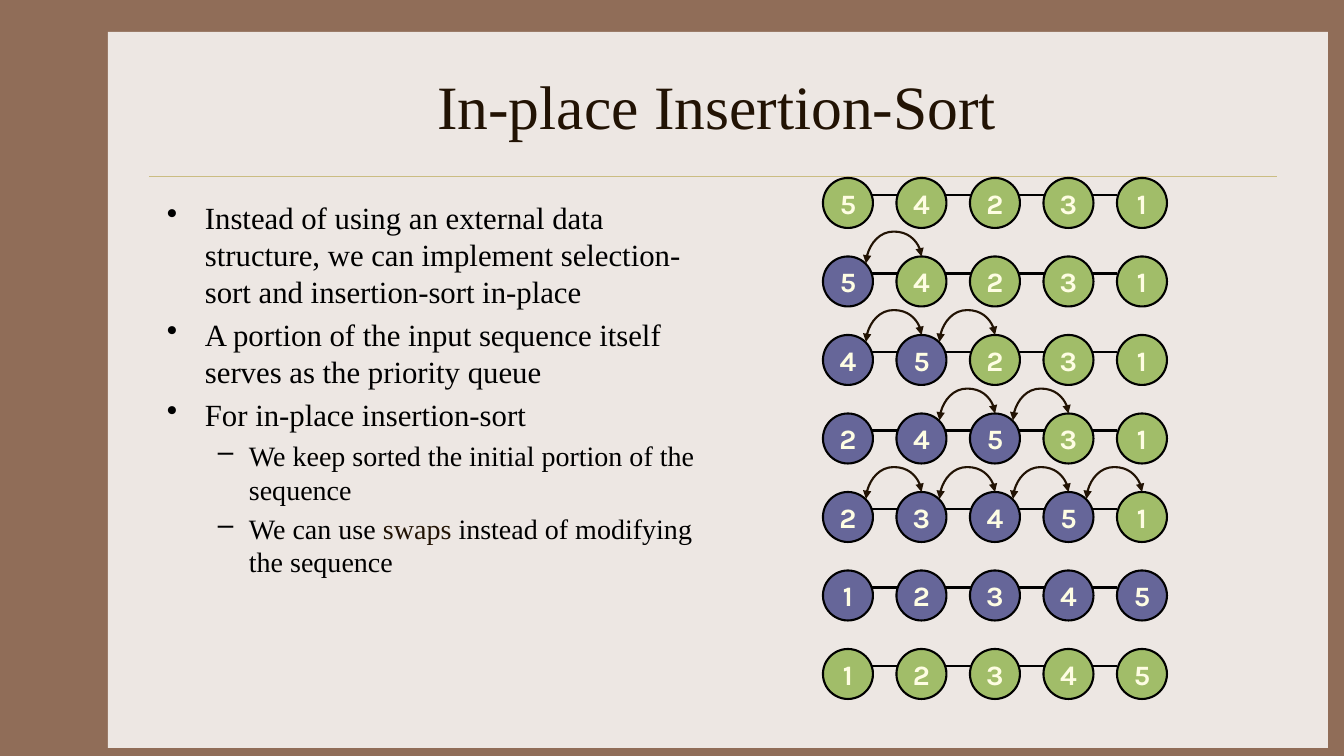
from dataclasses import dataclass
from typing import NamedTuple

from lxml.etree import SubElement
from pptx import Presentation
from pptx.dml.color import RGBColor
from pptx.enum.shapes import MSO_CONNECTOR, MSO_SHAPE
from pptx.enum.text import MSO_ANCHOR, PP_ALIGN
from pptx.oxml.ns import qn
from pptx.util import Emu, Pt


@dataclass(frozen=True)
class Theme:
    """Colours, fonts and type sizes of the slide."""
    backdrop: str = "906D58"
    panel: str = "EDE7E3"
    divider: str = "CBBD83"
    accent: str = "221304"
    ink: str = "000000"
    digit: str = "FEFDE3"
    unsorted: str = "A1BD69"
    sorted: str = "666699"
    text_font: str = "Times New Roman"
    digit_font: str = "Karla"
    title_size: int = 44
    level_sizes: tuple = (22, 20)
    digit_size: int = 20
    hairline: float = 0.25
    stroke: float = 1.5


class Box(NamedTuple):
    """A region in px."""
    left: int
    top: int
    width: int
    height: int


class Step(NamedTuple):
    """A sequence, the length of its sorted part, and the columns swapped leftwards."""
    values: str
    sorted_count: int
    swaps: tuple = ()


THEME = Theme()
EMU_PER_PX = 914400 / 100.8
CIRCLE = 50
LEVELS = (("•", 38, 38), ("–", 82, 31))
BULLETS = (
    (0, (("Instead of using an external data structure, we can implement "
          "selection-sort and insertion-sort in-place", THEME.ink),)),
    (0, (("A portion of the input sequence itself serves as the priority queue", THEME.ink),)),
    (0, (("For in-place insertion-sort", THEME.ink),)),
    (1, (("We keep sorted the initial portion of the sequence", THEME.ink),)),
    (1, (("We can use ", THEME.ink), ("swaps", THEME.accent),
         (" instead of modifying the sequence", THEME.ink))),
)
STEPS = (
    Step("54231", 0),
    Step("54231", 1, (1,)),
    Step("45231", 2, (2, 1)),
    Step("24531", 3, (2, 3)),
    Step("23451", 4, (4, 2, 1, 3)),
    Step("12345", 5),
    Step("12345", 0),
)


def px(length):
    """Turn px into EMU."""
    return Emu(round(length * EMU_PER_PX))


def rgb(code):
    """Turn a hex code into a colour."""
    return RGBColor.from_string(code)


def add_span(para, text, size, color, font, bold=False):
    """Add one formatted run."""
    span = para.add_run()
    span.text = text
    span.font.size = Pt(size)
    span.font.name = font
    span.font.bold = bold
    span.font.color.rgb = rgb(color)


def add_line(page, kind, start, end, color, weight):
    """Add a connector without a shadow."""
    line = page.shapes.add_connector(kind, *map(px, start + end))
    line.line.color.rgb = rgb(color)
    line.line.width = Pt(weight)
    SubElement(line._element.spPr, qn("a:effectLst"))
    return line


def add_solid(page, kind, box, color):
    """Add a filled shape without an outline or a shadow."""
    shape = page.shapes.add_shape(kind, *map(px, box))
    shape.shadow.inherit = False
    shape.fill.solid()
    shape.fill.fore_color.rgb = rgb(color)
    shape.line.fill.background()
    return shape


def add_panel(page, box):
    """Draw the backdrop, the panel and the divider."""
    page.background.fill.solid()
    page.background.fill.fore_color.rgb = rgb(THEME.backdrop)
    add_solid(page, MSO_SHAPE.RECTANGLE, box, THEME.panel)
    y = box.top + 144
    add_line(page, MSO_CONNECTOR.STRAIGHT, (box.left + 41, y),
             (box.left + box.width - 51, y), THEME.divider, THEME.hairline)


def add_title(page, box, text):
    """Place the centred title."""
    frame = page.shapes.add_textbox(*map(px, box)).text_frame
    frame.word_wrap = True
    frame.vertical_anchor = MSO_ANCHOR.MIDDLE
    para = frame.paragraphs[0]
    para.alignment = PP_ALIGN.CENTER
    add_span(para, text, THEME.title_size, THEME.accent, THEME.text_font)


def add_bullets(page, box, bullets):
    """Place the two-level bullet list."""
    frame = page.shapes.add_textbox(*map(px, box)).text_frame
    frame.word_wrap = True
    for index, (level, spans) in enumerate(bullets):
        para = frame.add_paragraph() if index else frame.paragraphs[0]
        mark, margin, hanging = LEVELS[level]
        size = THEME.level_sizes[level]
        para.level = level
        if index:
            para.space_before = Pt(size * 0.2)
        properties = para._p.get_or_add_pPr()
        properties.set("marL", str(px(margin)))
        properties.set("indent", str(px(-hanging)))
        SubElement(properties, qn("a:buChar")).set("char", mark)
        for text, color in spans:
            add_span(para, text, size, color, THEME.text_font)


def add_circle(page, left, top, value, color):
    """Draw one numbered element."""
    circle = add_solid(page, MSO_SHAPE.OVAL, (left, top, CIRCLE, CIRCLE), color)
    circle.line.color.rgb = rgb(THEME.ink)
    circle.line.width = Pt(THEME.stroke)
    frame = circle.text_frame
    frame.word_wrap = False
    frame.vertical_anchor = MSO_ANCHOR.MIDDLE
    para = frame.paragraphs[0]
    para.alignment = PP_ALIGN.CENTER
    add_span(para, value, THEME.digit_size, THEME.digit, THEME.digit_font, True)


def add_swap(page, right, top, left):
    """Arch a two-headed arrow from the point at the right to the one at the left."""
    drop, rise = 7, 25
    span = right - left
    middle_x, middle_y = (left + right) / 2, top + drop / 2
    arrow = add_line(page, MSO_CONNECTOR.CURVE,
                     (middle_x + drop / 2, middle_y + span / 2),
                     (middle_x - drop / 2, middle_y - span / 2),
                     THEME.accent, THEME.stroke)
    properties = arrow._element.spPr
    properties.find(qn("a:xfrm")).set("rot", str(270 * 60000))
    guides = properties.find(qn("a:prstGeom")).get_or_add_avLst()
    guide = SubElement(guides, qn("a:gd"))
    guide.set("name", "adj1")
    guide.set("fmla", f"val {round(-rise / drop * 100000)}")
    for end in ("a:headEnd", "a:tailEnd"):
        SubElement(arrow.line._ln, qn(end)).set("type", "triangle")


def add_board(page, box, steps):
    """Spread the steps of the sort over the box, then the swaps above them."""
    row_pitch = (box.height - CIRCLE) / (len(steps) - 1)
    column_pitch = (box.width - CIRCLE) / (len(steps[0].values) - 1)
    tops = [box.top + row * row_pitch for row in range(len(steps))]
    lefts = [box.left + column * column_pitch for column in range(len(steps[0].values))]
    for top, step in zip(tops, steps):
        add_line(page, MSO_CONNECTOR.STRAIGHT, (lefts[0] + 33, top + 17),
                 (lefts[-1], top + 17), THEME.ink, THEME.stroke)
        for column, value in enumerate(step.values):
            color = THEME.sorted if column < step.sorted_count else THEME.unsorted
            add_circle(page, lefts[column], top, value, color)
    for top, step in zip(tops, steps):
        for column in step.swaps:
            add_swap(page, lefts[column] + CIRCLE / 2, top, lefts[column - 1] + 43)


def main():
    """Build and save the deck."""
    deck = Presentation()
    deck.slide_width, deck.slide_height = px(1344), px(756)
    page = deck.slides.add_slide(deck.slide_layouts[6])
    add_panel(page, Box(108, 32, 1220, 716))
    add_title(page, Box(157, 42, 1120, 126), "In-place Insertion-Sort")
    add_bullets(page, Box(157, 194, 548, 454), BULLETS)
    add_board(page, Box(823, 178, 344, 521), STEPS)
    deck.save("out.pptx")


if __name__ == "__main__":
    main()
